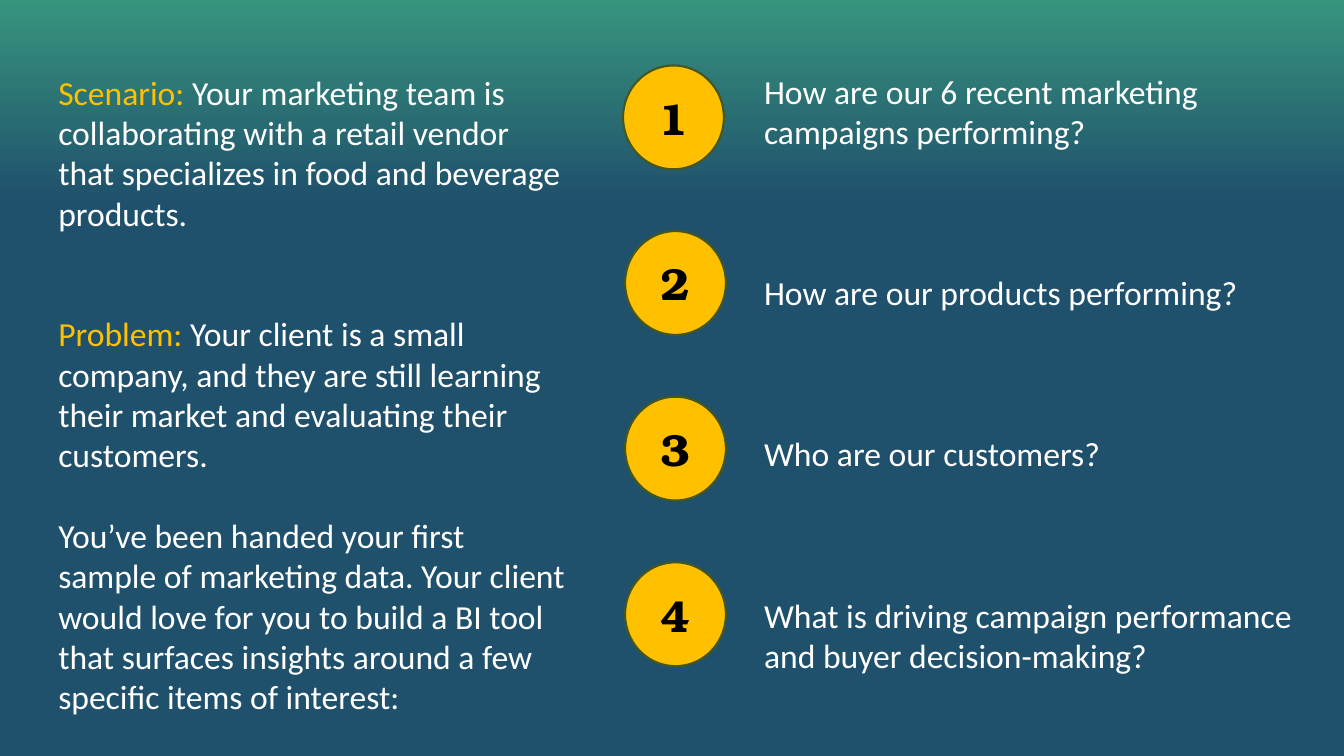
from pptx import Presentation
from pptx.dml.color import RGBColor
from pptx.enum.shapes import MSO_SHAPE
from pptx.enum.text import MSO_ANCHOR, PP_ALIGN
from pptx.util import Inches, Pt

GOLD, WHITE, BLACK, OLIVE = "FFC000", "FFFFFF", "000000", "45561E"
BACKGROUND = [(0, "37947D"), (0.27, "1F506C")]
LINE_HEIGHT = 28.8  # points, one line of 24 pt text

# (lines of space before, [(text, colour), ...])
BRIEF = [
    (0, [("Scenario: ", GOLD),
         ("Your marketing team is collaborating with a retail vendor that "
          "specializes in food and beverage products.", WHITE)]),
    (2, [("Problem: ", GOLD),
         ("Your client is a small company, and they are still learning their "
          "market and evaluating their customers.", WHITE)]),
    (1, [("You’ve been handed your first sample of marketing data. Your client "
          "would love for you to build a BI tool that surfaces insights around "
          "a few specific items of interest:", WHITE)]),
]
QUESTIONS = [
    (0, [("How are our 6 recent marketing campaigns performing?", WHITE)]),
    (3, [("How are our products performing?", WHITE)]),
    (3, [("Who are our customers?", WHITE)]),
    (3, [("What is driving campaign performance and buyer decision-making?", WHITE)]),
]
BADGE_LEFTS = [6.18, 6.2, 6.2, 6.2]
BADGE_TOP, BADGE_PITCH = 0.65, 1.643


def rgb(value):
    return RGBColor.from_string(value)


def add_run(p, text, color=WHITE, size=24, font="Calibri", bold=False):
    r = p.add_run()
    r.text = text
    r.font.size, r.font.name, r.font.bold = Pt(size), font, bold
    r.font.color.rgb = rgb(color)


def add_text(slide, paragraphs, left, top, width, height):
    box = slide.shapes.add_textbox(*map(Inches, (left, top, width, height)))
    tf = box.text_frame
    tf.word_wrap = True
    for i, (gap, runs) in enumerate(paragraphs):
        p = tf.add_paragraph() if i else tf.paragraphs[0]
        p.space_before = Pt(gap * LINE_HEIGHT)
        for text, color in runs:
            add_run(p, text, color=color)


def add_badge(slide, number, left, top):
    sp = slide.shapes.add_shape(
        MSO_SHAPE.OVAL, Inches(left), Inches(top), Inches(1), Inches(1.03))
    sp.shadow.inherit = False
    sp.fill.solid()
    sp.fill.fore_color.rgb = rgb(GOLD)
    sp.line.color.rgb = rgb(OLIVE)
    sp.line.width = Pt(1.5)
    tf = sp.text_frame
    tf.vertical_anchor = MSO_ANCHOR.MIDDLE
    p = tf.paragraphs[0]
    p.alignment = PP_ALIGN.CENTER
    add_run(p, str(number), color=BLACK, size=32, font="TeX Gyre Bonum", bold=True)


def main():
    prs = Presentation()
    prs.slide_width, prs.slide_height = Inches(13.33), Inches(7.5)
    slide = prs.slides.add_slide(prs.slide_layouts[6])

    fill = slide.background.fill
    fill.gradient()
    fill.gradient_angle = 270
    for stop, (position, color) in zip(fill.gradient_stops, BACKGROUND):
        stop.position = position
        stop.color.rgb = rgb(color)

    add_text(slide, BRIEF, 0.48, 0.66, 5.23, 6.56)
    add_text(slide, QUESTIONS, 7.48, 0.65, 5.63, 6.16)
    for i, left in enumerate(BADGE_LEFTS):
        add_badge(slide, i + 1, left, BADGE_TOP + i * BADGE_PITCH)

    prs.save("out.pptx")


if __name__ == "__main__":
    main()
